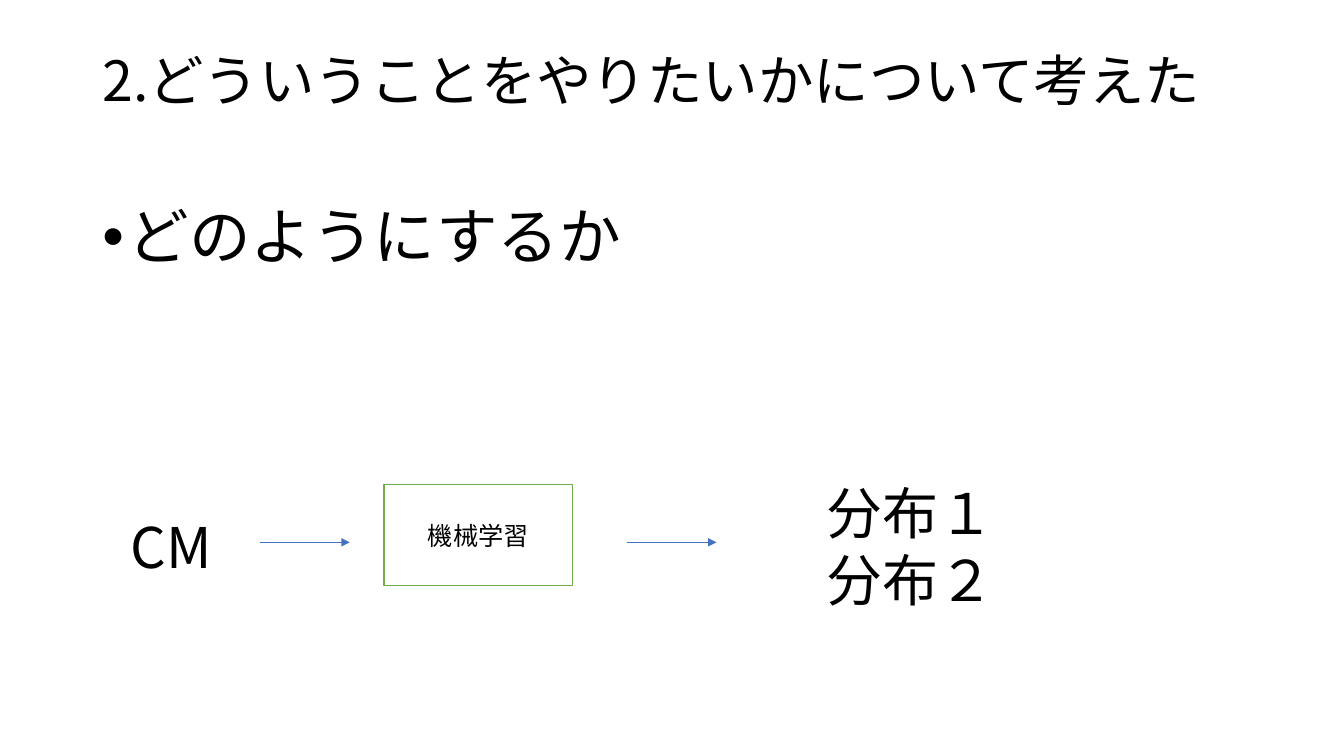
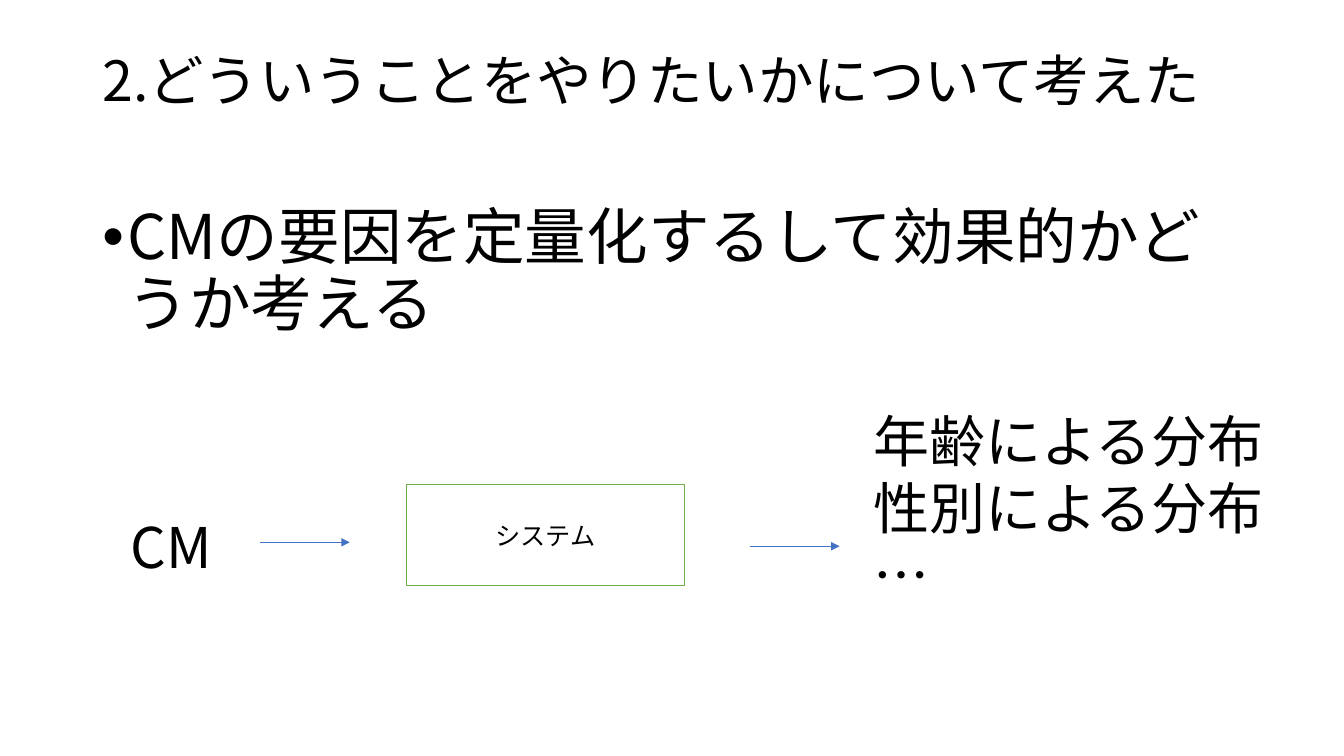
from dataclasses import dataclass

from lxml import etree
from pptx import Presentation
from pptx.dml.color import RGBColor
from pptx.enum import shapes, text
from pptx.oxml import ns
from pptx.util import Pt

COLORS = {"background": "FFFFFF", "text": "000000", "arrow": "4472C4", "box": "70AD47"}
FONT = "Noto Sans CJK JP"
TITLE = "2.どういうことをやりたいかについて考えた"
TITLE_BOX = (66, 28.8, 828, 104.4)
BODY_BOX = (66, 144, 828, 342.6)
FLOW_BOX = (86.4, 286.6, 828, 156.4)
ARROW_LENGTH = 64


@dataclass
class Flow:
    """The process and results of a flow, placed relative to its region."""

    process: str
    process_left: float
    process_width: float
    arrow_left: float
    arrow_top: float
    results: list
    results_box: tuple


SLIDES = [
    ("どのようにするか",
     Flow("機械学習", 187.9, 134.6, 361.4, 100.8,
          ["分布１", "分布２"], (496.8, 51.8, 135.4, 104.4))),
    ("CMの要因を定量化するして効果的かどうか考える",
     Flow("システム", 203.8, 198.7, 449.3, 103.6,
          ["年齢による分布", "性別による分布", "…"], (530.6, 0, 297.4, 152.6))),
]


def color(name):
    """Return a palette colour."""
    return RGBColor.from_string(COLORS[name])


def points(box):
    """Convert a box of numbers to lengths."""
    return [Pt(value) for value in box]


def add_child(parent, tag, **attributes):
    """Append a DrawingML element."""
    return etree.SubElement(parent, ns.qn(tag), attributes)


def write(shape, lines, size):
    """Fill a shape with paragraphs in the common font and return them."""
    frame = shape.text_frame
    frame.text = "\n".join(lines)
    for paragraph in frame.paragraphs:
        font = paragraph.font
        font.size = Pt(size)
        font.color.rgb = color("text")
        font.name = FONT
        add_child(font._element, "a:ea", typeface=FONT)
    return frame.paragraphs


def add_title(slide, box):
    """Add the title, raised by a deep bottom margin."""
    shape = slide.shapes.add_textbox(*points(box))
    paragraph = write(shape, [TITLE], 39.6)[0]
    paragraph.line_spacing = 0.9
    frame = shape.text_frame
    frame.word_wrap = True
    frame.vertical_anchor = text.MSO_ANCHOR.MIDDLE
    frame.margin_bottom = Pt(46)


def add_body(slide, box, line):
    """Add the bulleted statement."""
    shape = slide.shapes.add_textbox(*points(box))
    shape.text_frame.word_wrap = True
    paragraph = write(shape, [line], 44)[0]
    paragraph.line_spacing = 0.9
    paragraph.space_before = Pt(10)
    properties = paragraph._p.get_or_add_pPr()
    properties.set("marL", str(Pt(18)))
    properties.set("indent", str(-Pt(18)))
    run_defaults = properties.find(ns.qn("a:defRPr"))
    add_child(properties, "a:buFont", typeface="Arial")
    add_child(properties, "a:buChar", char="•")
    properties.append(run_defaults)


def add_label(slide, box, lines):
    """Add large unwrapped text."""
    shape = slide.shapes.add_textbox(*points(box))
    write(shape, lines, 40)
    shape.text_frame.word_wrap = False
    shape.text_frame.auto_size = text.MSO_AUTO_SIZE.SHAPE_TO_FIT_TEXT


def add_arrow(slide, left, top):
    """Add a horizontal arrow pointing right."""
    arrow = slide.shapes.add_connector(
        shapes.MSO_CONNECTOR.STRAIGHT, *points((left, top, left + ARROW_LENGTH, top)))
    arrow.line.color.rgb = color("arrow")
    arrow.line.width = Pt(0.5)
    add_child(arrow.line._get_or_add_ln(), "a:tailEnd", type="triangle")
    add_child(arrow._element.spPr, "a:effectLst")


def add_process(slide, box, label):
    """Add the outlined process box."""
    shape = slide.shapes.add_shape(shapes.MSO_SHAPE.RECTANGLE, *points(box))
    shape.shadow.inherit = False
    shape.fill.solid()
    shape.fill.fore_color.rgb = color("background")
    shape.line.color.rgb = color("box")
    shape.line.width = Pt(1)
    shape.text_frame.vertical_anchor = text.MSO_ANCHOR.MIDDLE
    paragraph = write(shape, [label], 18)[0]
    paragraph.alignment = text.PP_ALIGN.CENTER


def add_flow(slide, box, flow):
    """Add the flow from input through process to results."""
    left, top = box[:2]
    add_arrow(slide, left + 99.4, top + 100.8)
    add_label(slide, (left, top + 76.3, 79.2, 55.4), ["CM"])
    add_arrow(slide, left + flow.arrow_left, top + flow.arrow_top)
    add_process(slide, (left + flow.process_left, top + 59.7, flow.process_width, 72),
                flow.process)
    x, y, width, height = flow.results_box
    add_label(slide, (left + x, top + y, width, height), flow.results)


def add_flow_slide(presentation, statement, flow):
    """Add a slide with title, statement and flow."""
    slide = presentation.slides.add_slide(presentation.slide_layouts[6])
    slide.background.fill.solid()
    slide.background.fill.fore_color.rgb = color("background")
    add_title(slide, TITLE_BOX)
    add_body(slide, BODY_BOX, statement)
    add_flow(slide, FLOW_BOX, flow)


def main():
    """Build and save the presentation."""
    presentation = Presentation()
    presentation.slide_width, presentation.slide_height = Pt(960), Pt(540)
    for statement, flow in SLIDES:
        add_flow_slide(presentation, statement, flow)
    presentation.save("out.pptx")


if __name__ == "__main__":
    main()
